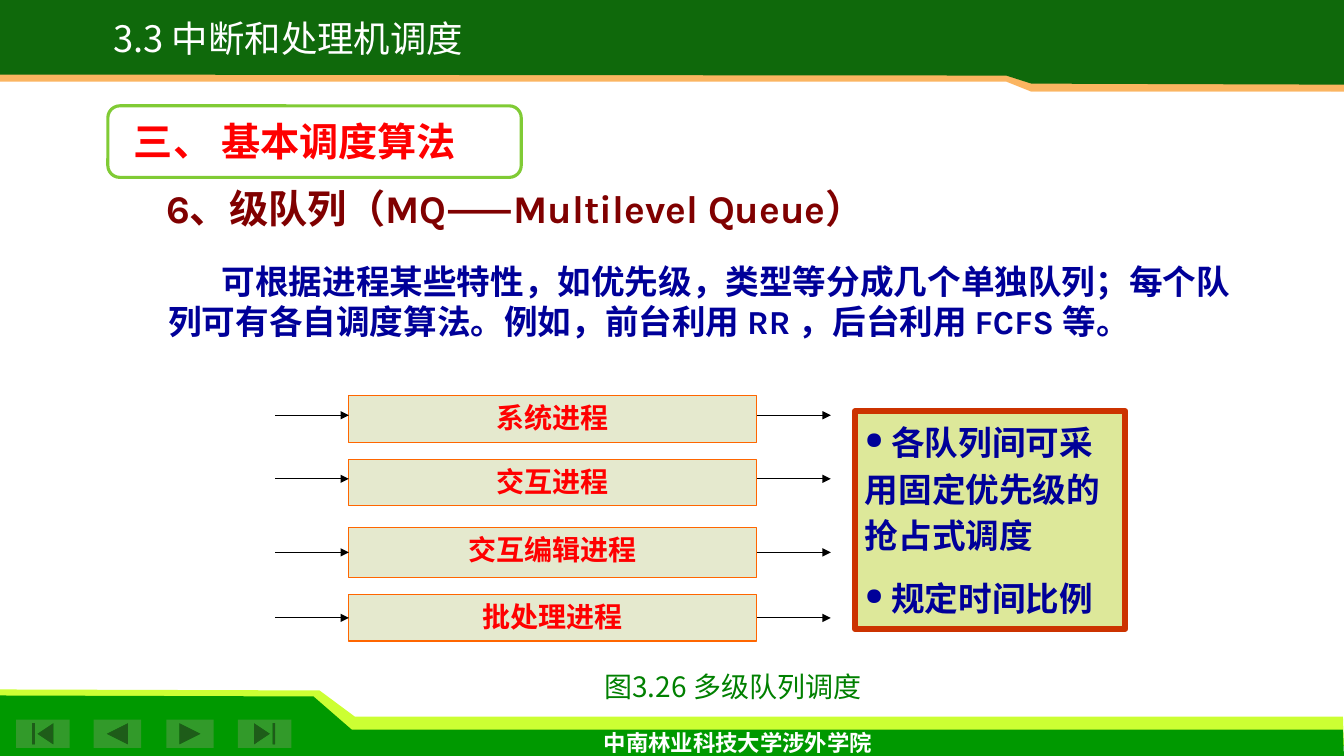
from lxml import etree
from pptx import Presentation
from pptx.dml.color import RGBColor
from pptx.enum.shapes import MSO_CONNECTOR, MSO_SHAPE
from pptx.enum.text import MSO_ANCHOR, PP_ALIGN
from pptx.oxml.ns import qn
from pptx.util import Inches, Pt

RECT, ROUND = MSO_SHAPE.RECTANGLE, MSO_SHAPE.ROUNDED_RECTANGLE
BACK, NEXT = MSO_SHAPE.ACTION_BUTTON_BACK_OR_PREVIOUS, MSO_SHAPE.ACTION_BUTTON_FORWARD_OR_NEXT
FIRST, LAST = MSO_SHAPE.ACTION_BUTTON_BEGINNING, MSO_SHAPE.ACTION_BUTTON_END
STRAIGHT = MSO_CONNECTOR.STRAIGHT
LEFT, CENTER = PP_ALIGN.LEFT, PP_ALIGN.CENTER
TOP = MSO_ANCHOR.TOP
KARLA, TIMES, NOTO = "Karla", "Times New Roman", "Noto Sans CJK SC"

COLORS = {
    "white": "FFFFFF", "black": "000000", "lime": "CCFF33", "green": "009900",
    "button": "329A2A", "orange": "FBB561", "dark green": "0F690B",
    "maroon": "800000", "navy": "000099", "red": "FF0000", "caption": "008000",
    "queue": "E5E9CE", "queue line": "FF6600", "note": "DDE89A",
    "note line": "CC3300", "frame": "80CB35",
}


def paint(sp, fill, line=None, width=0.75, alpha=None):
    """Fill and outline a shape; alpha is opacity in percent."""
    sp.shadow.inherit = False
    sp.fill.solid()
    sp.fill.fore_color.rgb = RGBColor.from_string(COLORS[fill])
    if alpha:
        clr = sp._element.spPr.find(qn("a:solidFill"))[0]
        etree.SubElement(clr, qn("a:alpha")).set("val", str(alpha * 1000))
    if line:
        sp.line.color.rgb = RGBColor.from_string(COLORS[line])
        sp.line.width = Pt(width)
    else:
        sp.line.fill.background()


def write(sp, paragraphs, size, font, color, bold=True, align=LEFT, spacing=None, wrap=True):
    """Set paragraphs, each a list of (text, font or None) runs."""
    tf = sp.text_frame
    tf.word_wrap = wrap
    tf.vertical_anchor = TOP
    for i, runs in enumerate(paragraphs):
        p = tf.add_paragraph() if i else tf.paragraphs[0]
        p.alignment = align
        if spacing:
            p.line_spacing = spacing
        for text, run_font in runs:
            r = p.add_run()
            r.text = text
            r.font.size = Pt(size)
            r.font.bold = bold
            r.font.name = run_font or font
            r.font.color.rgb = RGBColor.from_string(COLORS[color])
            etree.SubElement(r.font._element, qn("a:ea")).set("typeface", NOTO)
    return tf


prs = Presentation()
prs.slide_width, prs.slide_height = Inches(13.33), Inches(7.5)
slide = prs.slides.add_slide(prs.slide_layouts[6])
shapes = slide.shapes

# Footer and header bands, with the navigation buttons between them
footer_bands = [
    ("lime", None, [(0.01, 7.4), (13.33, 7.4), (13.32, 7.11), (3.52, 7.11), (3.17, 6.85), (0, 6.84)]),
    ("green", None, [(0, 7.53), (13.33, 7.51), (13.32, 7.24), (3.49, 7.24), (3.11, 6.91), (0, 6.9)]),
]
header_bands = [
    ("orange", None, [(13.33, -0.03), (0, -0.03), (0, 0.81), (9.98, 0.81), (10.23, 0.91), (13.33, 0.91)]),
    ("dark green", None, [(13.33, -0.03), (0, -0.03), (0, 0.74), (9.98, 0.75), (10.23, 0.83), (13.33, 0.84)]),
    ("white", 30, [(10.06, 0.91), (13.2, 0.91), (13.19, 0.96), (10.19, 0.97)]),
]
for color, alpha, points in footer_bands + header_bands:
    corners = [(Inches(x), Inches(y)) for x, y in points]
    builder = shapes.build_freeform(*corners[0], scale=1.0)
    builder.add_line_segments(corners[1:], close=True)
    paint(builder.convert_to_shape(), color, alpha=alpha)

for kind, left, width in [(BACK, 0.93, 0.47), (NEXT, 1.65, 0.47), (FIRST, 0.16, 0.53), (LAST, 2.36, 0.53)]:
    button = shapes.add_shape(kind, Inches(left), Inches(7.14), Inches(width), Inches(0.28))
    paint(button, "button")

school = shapes.add_textbox(Inches(5.89), Inches(7.18), Inches(2.89), Inches(0.37))
write(school, [[("中南林业科技大学涉外学院", None)]], 16, KARLA, "white", wrap=False)

# Heading and explanation
heading = shapes.add_textbox(Inches(1.55), Inches(1.83), Inches(8.9), Inches(0.58))
write(heading, [[("6、级队列（MQ", None), ("——", NOTO), ("Multilevel Queue）", None)]],
      28, KARLA, "maroon", spacing=0.9)

body = shapes.add_textbox(Inches(1.57), Inches(2.54), Inches(11), Inches(0.91))
tf = write(body, [[("可根据进程某些特性，如优先级，类型等分成几个单独队列；每个队列可有各自调度算法。"
                    "例如，前台利用 RR ，后台利用 FCFS 等。", None)]], 24, KARLA, "navy")
tf.paragraphs[0]._p.get_or_add_pPr().set("indent", str(Inches(0.53)))

# Queues, each with an arrow in and an arrow out
queues = [
    ("系统进程", 3.92, 0.47, 4.12),
    ("交互进程", 4.56, 0.46, 4.75),
    ("交互编辑进程", 5.23, 0.5, 5.48),
    ("批处理进程", 5.9, 0.46, 6.13),
]
for name, top, height, arrow_y in queues:
    queue = shapes.add_shape(RECT, Inches(3.46), Inches(top), Inches(4.04), Inches(height))
    paint(queue, "queue", "queue line")
    write(queue, [[(name, None)]], 20, TIMES, "red", align=CENTER)
    for start in (2.73, 7.51):
        arrow = shapes.add_connector(STRAIGHT, Inches(start), Inches(arrow_y),
                                     Inches(start + 0.73), Inches(arrow_y))
        arrow.line.color.rgb = RGBColor.from_string(COLORS["black"])
        arrow.line.width = Pt(0.75)
        etree.SubElement(arrow.line._get_or_add_ln(), qn("a:tailEnd")).set("type", "triangle")
        etree.SubElement(arrow._element.spPr, qn("a:effectLst"))

caption = shapes.add_textbox(Inches(5.17), Inches(6.59), Inches(4.2), Inches(0.4))
write(caption, [[("图", None), ("3.26 ", NOTO), ("多级队列调度", None)]],
      20, TIMES, "caption", bold=False, align=CENTER)

# Scheduling notes
note = shapes.add_shape(RECT, Inches(8.48), Inches(4.08), Inches(2.68), Inches(2.16))
paint(note, "note", "note line", 4.5)
tf = write(note, [[(" 各队列间可采用固定优先级的抢占式调度", None)], [(" 规定时间比例", None)]],
           24, KARLA, "navy", spacing=1.15)
tf.paragraphs[1].space_before = Pt(12)
for p in tf.paragraphs:
    pPr = p._p.get_or_add_pPr()
    etree.SubElement(pPr, qn("a:buSzPct")).set("val", "70000")
    etree.SubElement(pPr, qn("a:buChar")).set("char", "●")

# Section label and slide title
frame = shapes.add_shape(ROUND, Inches(1.07), Inches(1.05), Inches(4.1), Inches(0.71))
paint(frame, "white", "frame", 2.25, alpha=90)
section = shapes.add_textbox(Inches(1.23), Inches(1.11), Inches(4.25), Inches(0.57))
write(section, [[("三、 基本调度算法", None)]], 28, TIMES, "red")

title = shapes.add_textbox(Inches(0.38), Inches(0.19), Inches(4.96), Inches(0.46))
write(title, [[("3.3 中断和处理机调度", None)]], 26, NOTO, "white",
      bold=False, align=CENTER, spacing=0.8, wrap=False)

prs.save("out.pptx")
